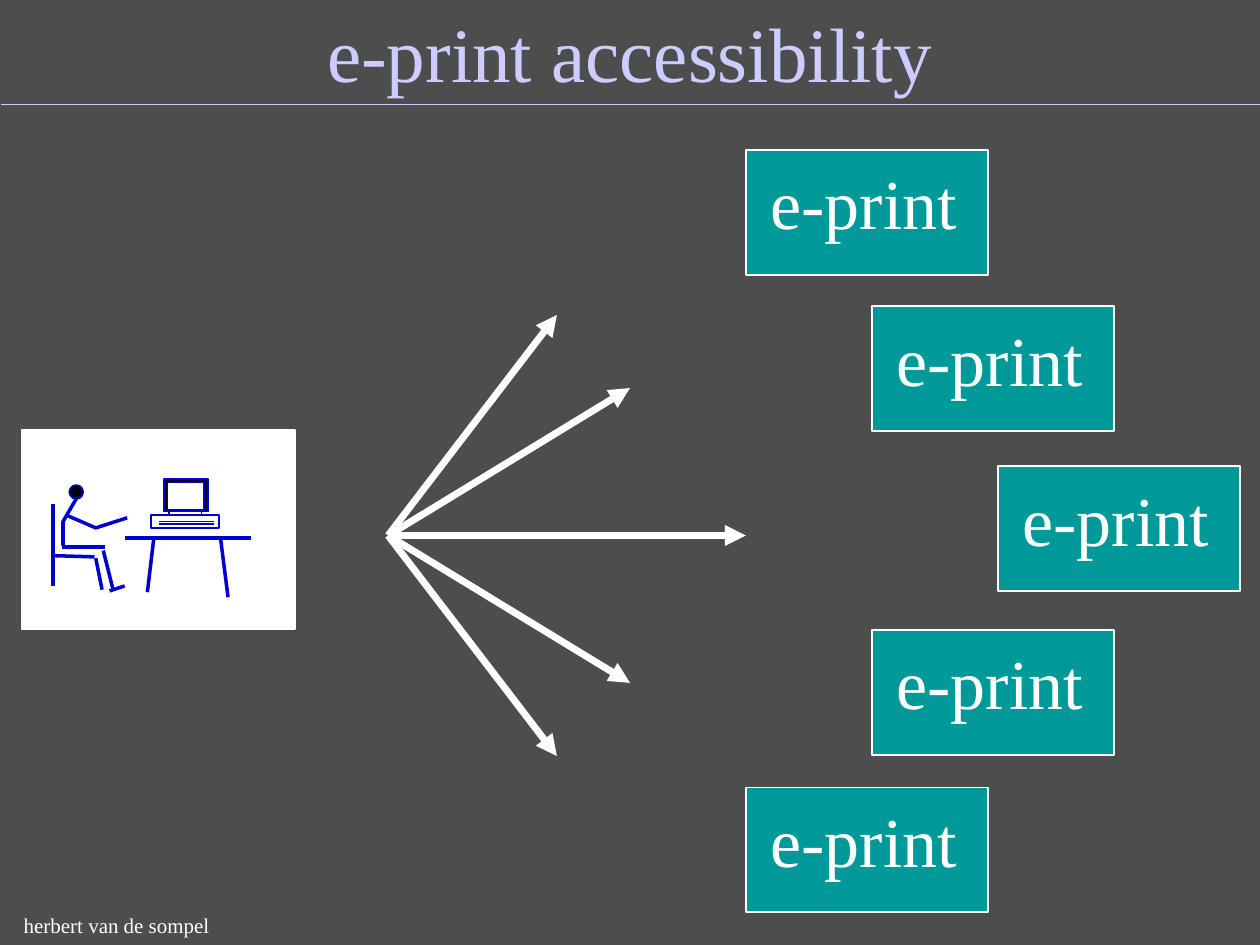
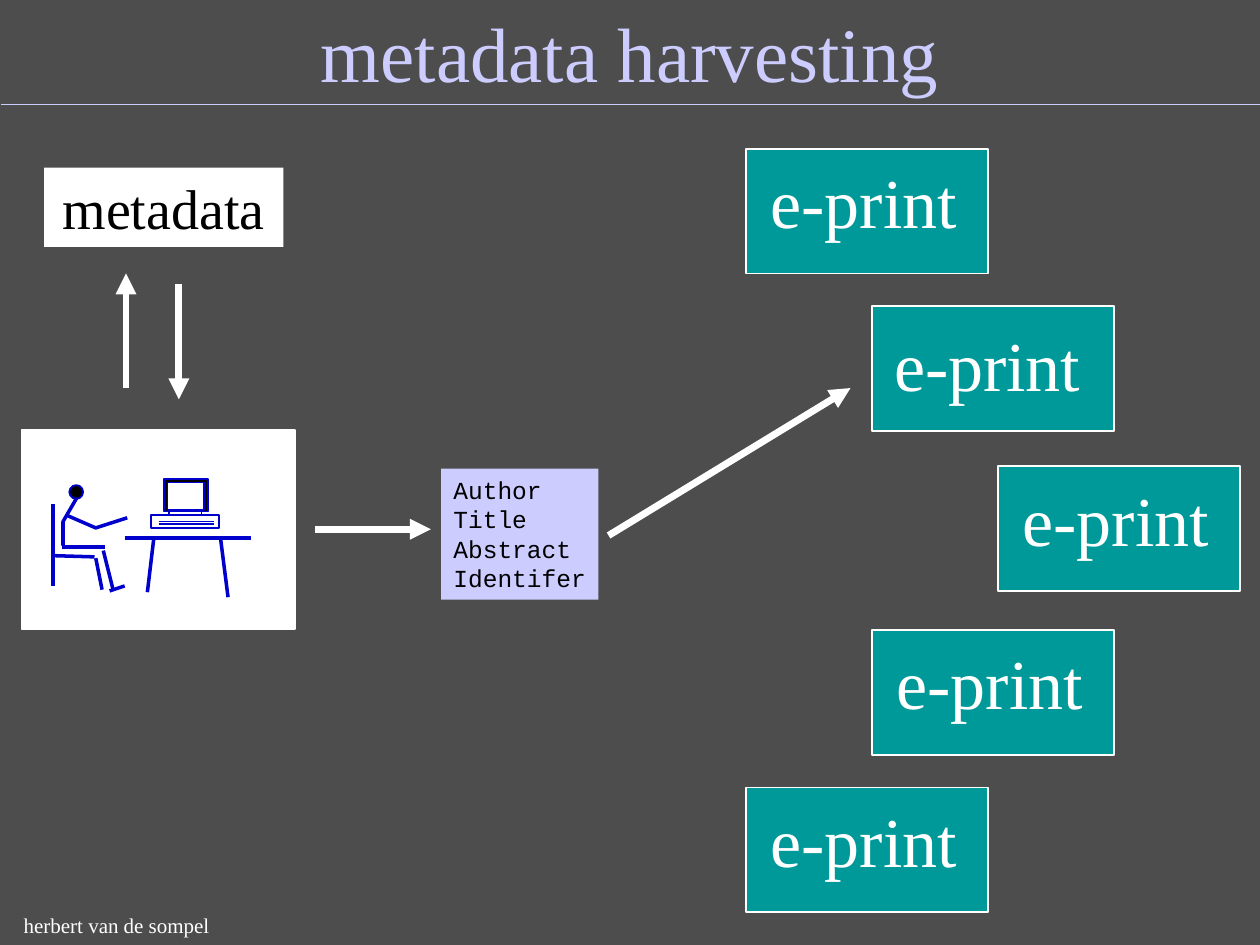
from lxml.etree import SubElement
from pptx import Presentation
from pptx.dml.color import RGBColor
from pptx.enum.shapes import MSO_CONNECTOR, MSO_SHAPE
from pptx.enum.text import MSO_ANCHOR, PP_ALIGN
from pptx.oxml.ns import qn
from pptx.util import Inches, Pt

COLORS = {
    "background": "4D4D4D",
    "lavender": "CCCCFF",
    "teal": "009999",
    "white": "FFFFFF",
    "black": "000000",
    "drawing": "0000CC",
}
SERIF = "Times New Roman"
MONO = "Courier New"
BOX_SIZE = (1.92, 0.99)
LABEL_OFFSET = (0.09, 0.03)

COMPUTER_PARTS = [
    ((1.34, 4.01, 0.26, 0.15), "white"),
    ((1.2, 4.09, 0.54, 0.1), "white"),
    ((1.3, 3.8, 0.35, 0.26), "black"),
    ((1.33, 3.83, 0.29, 0.22), "white"),
]
KEYBOARD_ROWS = [4.14, 4.16]
DESK_CHAIR_AND_LEGS = [
    ((0.99, 4.27), (1.99, 4.27)),
    ((1.22, 4.28), (1.17, 4.7)),
    ((1.81, 4.74), (1.75, 4.27)),
    ((0.42, 4), (0.42, 4.65)),
    ((0.42, 4.41), (0.75, 4.42)),
    ((0.76, 4.43), (0.81, 4.68)),
    ((0.49, 4.34), (0.83, 4.34)),
    ((0.82, 4.37), (0.9, 4.69)),
    ((0.87, 4.69), (0.99, 4.65)),
]
BODY = [(0.61, 3.95), (0.5, 4.14), (0.5, 4.33)]
ARM = [(0.53, 4.09), (0.76, 4.19), (1.01, 4.11)]


def color(name):
    return RGBColor.from_string(COLORS[name])


def set_line(line, name, width):
    line.color.rgb = color(name)
    line.width = Pt(width)


def add_block(shapes, bounds, fill, line=None, kind=MSO_SHAPE.RECTANGLE):
    shape = shapes.add_shape(kind, *map(Inches, bounds))
    shape.shadow.inherit = False
    shape.fill.solid()
    shape.fill.fore_color.rgb = color(fill)
    if line:
        set_line(shape.line, line, 1)
    else:
        shape.line.fill.background()
    return shape


def add_line(shapes, start, end, name, width, arrow=False):
    points = map(Inches, (*start, *end))
    connector = shapes.add_connector(MSO_CONNECTOR.STRAIGHT, *points)
    set_line(connector.line, name, width)
    properties = connector._element.spPr
    if arrow:
        SubElement(properties.find(qn("a:ln")), qn("a:tailEnd"), type="triangle")
    SubElement(properties, qn("a:effectLst"))


def add_arrow(shapes, start, end):
    add_line(shapes, start, end, "white", 4, arrow=True)


def add_outline(shapes, points):
    start, *rest = [tuple(map(Inches, point)) for point in points]
    builder = shapes.build_freeform(*start)
    builder.add_line_segments(rest, close=False)
    shape = builder.convert_to_shape()
    shape.shadow.inherit = False
    shape.fill.background()
    set_line(shape.line, "drawing", 2)


def write(shape, lines, size, name, font=SERIF, align=PP_ALIGN.CENTER,
          anchor=MSO_ANCHOR.TOP, wrap=True, spacing=None):
    frame = shape.text_frame
    frame.word_wrap = wrap
    frame.vertical_anchor = anchor
    frame.text = "\n".join(lines)
    for paragraph in frame.paragraphs:
        paragraph.alignment = align
        paragraph.line_spacing = spacing
        paragraph.font.size = Pt(size)
        paragraph.font.name = font
        paragraph.font.color.rgb = color(name)


def add_text(shapes, bounds, text, size, name, **options):
    write(shapes.add_textbox(*map(Inches, bounds)), [text], size, name, **options)


def add_eprint(slide, left, top, label_offset=LABEL_OFFSET):
    shapes = slide.shapes.add_group_shape().shapes
    add_block(shapes, (left, top, *BOX_SIZE), "teal", "white")
    label_left, label_top = left + label_offset[0], top + label_offset[1]
    add_text(shapes, (label_left, label_top, 1.69, 0.77), "e-print", 40, "white")


def add_reader_at_desk(slide):
    shapes = slide.shapes.add_group_shape().shapes
    add_block(shapes, (0.17, 3.41, 2.17, 1.58), "white", "white")
    for bounds, fill in COMPUTER_PARTS:
        add_block(shapes, bounds, fill, "drawing")
    for top in KEYBOARD_ROWS:
        add_line(shapes, (1.26, top), (1.7, top), "drawing", 1)
    add_block(shapes, (0.55, 3.85, 0.11, 0.11), "black", "drawing", MSO_SHAPE.OVAL)
    for start, end in DESK_CHAIR_AND_LEGS:
        add_line(shapes, start, end, "drawing", 2)
    for points in (BODY, ARM):
        add_outline(shapes, points)


def add_base_slide(presentation, title):
    slide = presentation.slides.add_slide(presentation.slide_layouts[6])
    add_text(slide.shapes, (0, 0.16, 10, 0.5), title, 44, "lavender",
             anchor=MSO_ANCHOR.MIDDLE)
    add_line(slide.shapes, (0.01, 0.83), (10, 0.83), "lavender", 1)
    add_text(slide.shapes, (0.09, 7.19, 1.8, 0.3), "herbert van de sompel", 12,
             "white", align=PP_ALIGN.LEFT)
    add_reader_at_desk(slide)
    for left, top in [(7.92, 3.7), (6.92, 5), (5.92, 6.25)]:
        add_eprint(slide, left, top)
    return slide


def add_accessibility_slide(presentation):
    slide = add_base_slide(presentation, "e-print accessibility")
    add_eprint(slide, 5.92, 1.19)
    add_eprint(slide, 6.92, 2.43)
    for end in [(4.42, 2.5), (5, 3.08), (5.92, 4.25), (5, 5.42), (4.42, 6)]:
        add_arrow(slide.shapes, (3.08, 4.25), end)


def add_harvesting_slide(presentation):
    slide = add_base_slide(presentation, "metadata harvesting")
    shapes = slide.shapes
    add_eprint(slide, 5.92, 1.18)
    add_eprint(slide, 6.92, 2.43, label_offset=(0.07, 0.07))
    metadata = add_block(shapes, (0.35, 1.33, 1.9, 0.63), "white")
    write(metadata, ["metadata"], 32, "black")
    record = add_block(shapes, (3.5, 3.72, 1.25, 1.04), "lavender")
    write(record, ["Author", "Title", "Abstract", "Identifer"], 14, "black",
          font=MONO, align=PP_ALIGN.LEFT, wrap=False, spacing=Pt(16.8))
    add_arrow(shapes, (1, 3.08), (1, 2.17))
    add_arrow(shapes, (1.42, 2.25), (1.42, 3.17))
    add_arrow(shapes, (2.5, 4.2), (3.42, 4.2))
    add_arrow(shapes, (4.83, 4.25), (6.75, 3.08))


def main():
    presentation = Presentation()
    presentation.slide_width = Inches(10)
    presentation.slide_height = Inches(7.5)
    background = presentation.slide_master.background.fill
    background.solid()
    background.fore_color.rgb = color("background")
    add_accessibility_slide(presentation)
    add_harvesting_slide(presentation)
    presentation.save("out.pptx")


if __name__ == "__main__":
    main()
